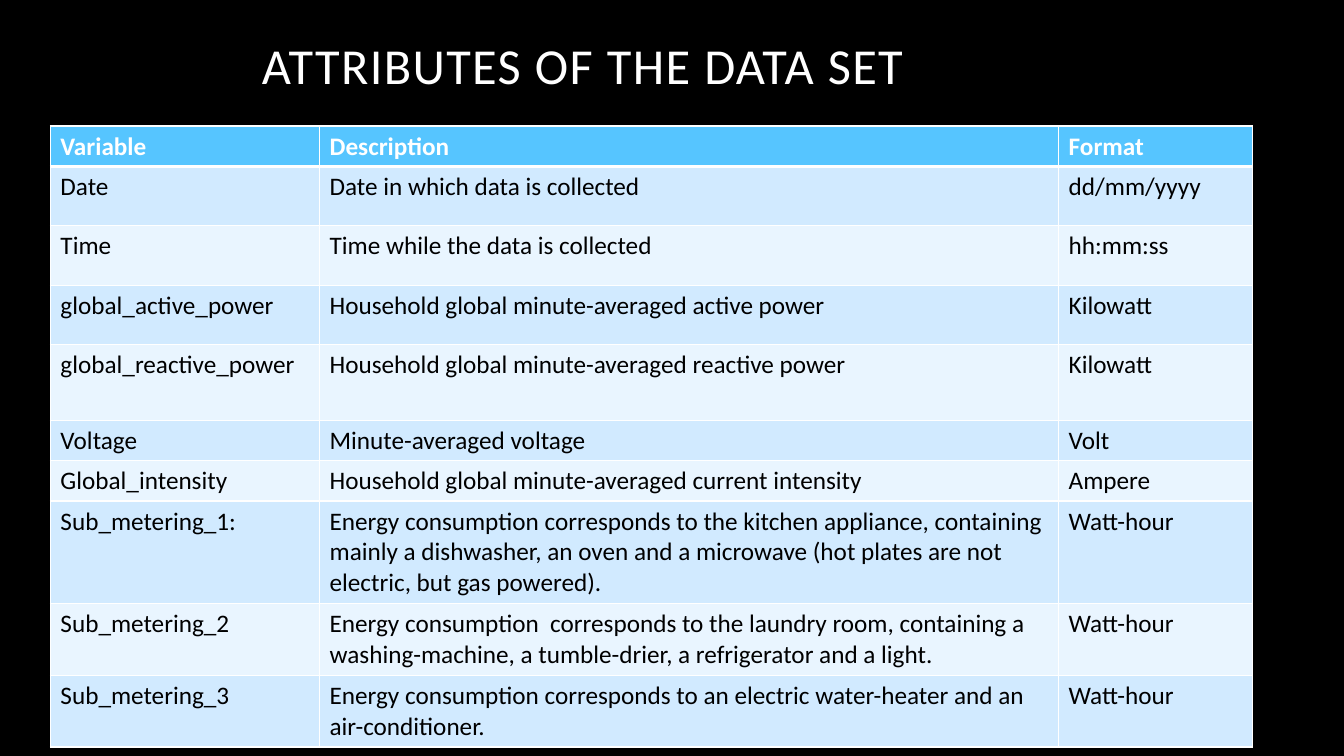
from lxml.etree import SubElement
from pptx import Presentation
from pptx.dml.color import RGBColor
from pptx.enum.text import MSO_ANCHOR
from pptx.oxml.ns import qn
from pptx.util import Inches, Pt

# Content
TITLE = "ATTRIBUTES OF THE DATA SET"
HEADER = ("Variable", "Description", "Format")
ATTRIBUTES = [
    ("Date", "Date in which data is collected", "dd/mm/yyyy"),
    ("Time", "Time while the data is collected", "hh:mm:ss"),
    ("global_active_power", "Household global minute-averaged active power", "Kilowatt"),
    ("global_reactive_power", "Household global minute-averaged reactive power", "Kilowatt"),
    ("Voltage", "Minute-averaged voltage", "Volt"),
    ("Global_intensity", "Household global minute-averaged current intensity", "Ampere"),
    ("Sub_metering_1:",
     "Energy consumption corresponds to the kitchen appliance, containing mainly a dishwasher, "
     "an oven and a microwave (hot plates are not electric, but gas powered).", "Watt-hour"),
    ("Sub_metering_2",
     "Energy consumption  corresponds to the laundry room, containing a washing-machine, "
     "a tumble-drier, a refrigerator and a light.", "Watt-hour"),
    ("Sub_metering_3",
     "Energy consumption corresponds to an electric water-heater and an air-conditioner.",
     "Watt-hour"),
]

# Layout and colours
COLUMN_WIDTHS = (2.67, 7.33, 1.92)
ROW_HEIGHTS = (0.4, 0.59, 0.59, 0.59, 0.75, 0.4, 0.4, 1.02, 0.71, 0.71)
FONT = "Calibri"
BLACK, WHITE = "000000", "FFFFFF"
HEADER_FILL = "56C5FF"
BANDS = ("D1EAFF", "E9F5FF")


def paint(fill, color):
    fill.solid()
    fill.fore_color.rgb = RGBColor.from_string(color)


def add_run(paragraph, text, size, color, bold=False):
    run = paragraph.add_run()
    run.text = text
    run.font.name = FONT
    run.font.size = Pt(size)
    run.font.bold = bold
    paint(run.font.fill, color)
    return run


def set_borders(cell, bottom_width):
    properties = cell._tc.get_or_add_tcPr()
    widths = {"a:lnL": 1, "a:lnR": 1, "a:lnT": 1, "a:lnB": bottom_width}
    for side, width in widths.items():
        line = SubElement(properties, qn(side), w=str(Pt(width)))
        SubElement(SubElement(line, qn("a:solidFill")), qn("a:srgbClr"), val=WHITE)


def add_title(slide):
    title = slide.shapes.add_textbox(Inches(2.5), Inches(0.17), Inches(10), Inches(0.83))
    frame = title.text_frame
    frame.word_wrap = True
    frame.vertical_anchor = MSO_ANCHOR.BOTTOM
    frame.paragraphs[0].line_spacing = 0.9
    run = add_run(frame.paragraphs[0], TITLE, 36, WHITE)
    run._r.get_or_add_rPr().set("spc", "100")


def add_attribute_table(slide):
    rows = [HEADER, *ATTRIBUTES]
    table = slide.shapes.add_table(
        len(rows), len(HEADER), Inches(0.5), Inches(1.25),
        Inches(sum(COLUMN_WIDTHS)), Inches(sum(ROW_HEIGHTS))).table
    for column, width in zip(table.columns, COLUMN_WIDTHS):
        column.width = Inches(width)
    for r, (texts, height) in enumerate(zip(rows, ROW_HEIGHTS)):
        is_header = r == 0
        table.rows[r].height = Inches(height)
        for c, text in enumerate(texts):
            cell = table.cell(r, c)
            add_run(cell.text_frame.paragraphs[0], text, 18,
                    WHITE if is_header else BLACK, is_header)
            # Borders come before the fill in the cell properties
            set_borders(cell, 3 if is_header else 1)
            paint(cell.fill, HEADER_FILL if is_header else BANDS[(r - 1) % 2])


def main():
    presentation = Presentation()
    presentation.slide_width = Inches(13.33)
    presentation.slide_height = Inches(7.5)
    slide = presentation.slides.add_slide(presentation.slide_layouts[6])
    paint(slide.background.fill, BLACK)
    add_title(slide)
    add_attribute_table(slide)
    presentation.save("out.pptx")


if __name__ == "__main__":
    main()
